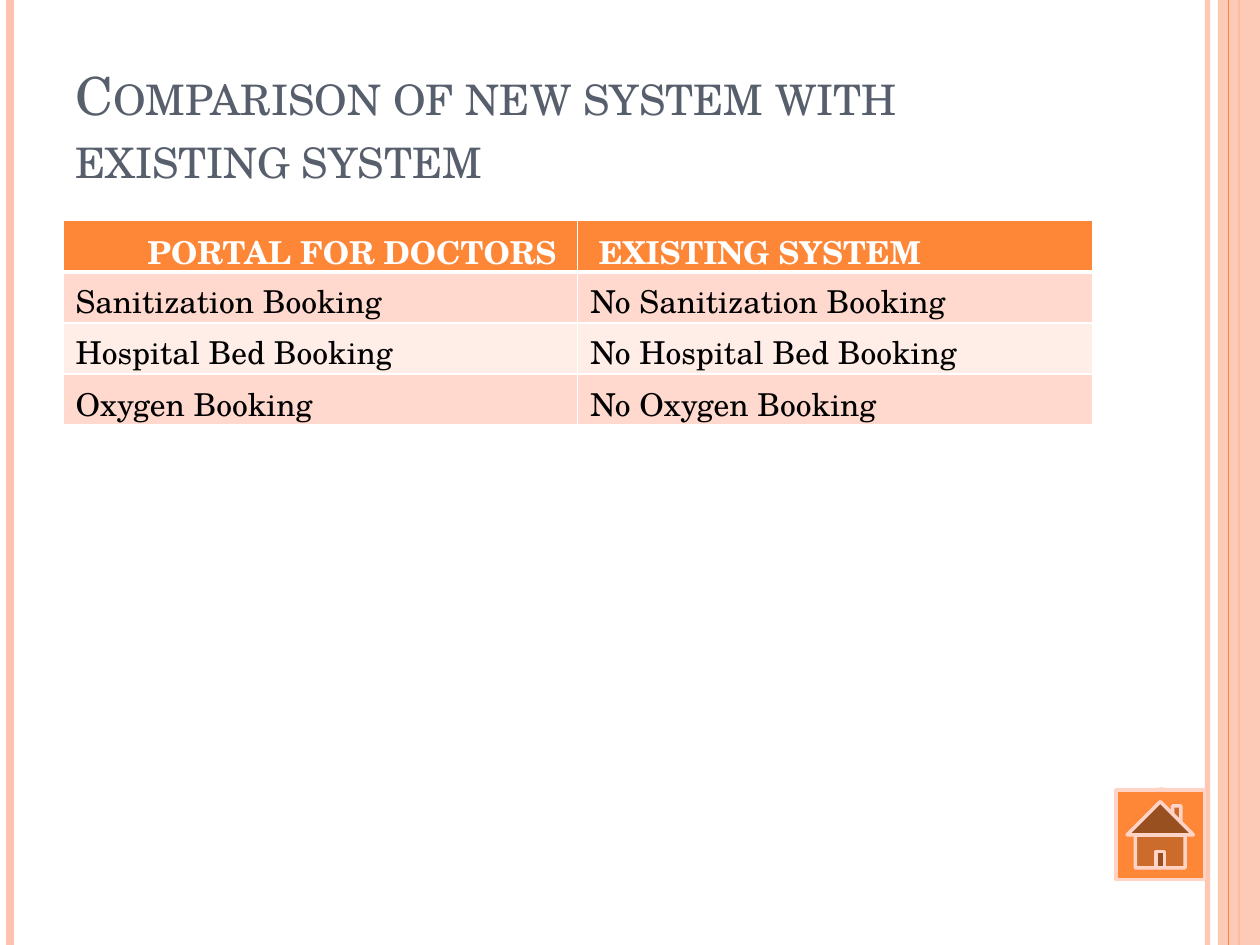
from lxml.etree import SubElement
from pptx import Presentation
from pptx.dml.color import RGBColor
from pptx.enum.shapes import MSO_CONNECTOR, MSO_SHAPE
from pptx.enum.text import MSO_ANCHOR
from pptx.oxml.ns import qn
from pptx.util import Cm, Pt

COLORS = {
    "orange": "FE8637",
    "peach": "FEC3AE",
    "button_edge": "FFD4C7",
    "band_dark": "FFD9CE",
    "band_light": "FFEDE8",
    "title": "575F6D",
    "white": "FFFFFF",
    "black": "000000",
}
FONT = "TeX Gyre Schola"
SLIDE_WIDTH, SLIDE_HEIGHT = 25.4, 19.05
ROWS = [
    ("PORTAL FOR DOCTORS", "EXISTING SYSTEM"),
    ("Sanitization Booking", "No Sanitization Booking"),
    ("Hospital Bed Booking", "No Hospital Bed Booking"),
    ("Oxygen Booking", "No Oxygen Booking"),
]
HEADER_MARGINS = (1.7, 0.43)


def rgb(name):
    """Return the named colour."""
    return RGBColor.from_string(COLORS[name])


def set_opacity(properties, percent):
    """Make the first solid colour under the properties translucent."""
    color = next(properties.iter(qn("a:srgbClr")))
    SubElement(color, qn("a:alpha"), val=str(percent * 1000))


def add_run(paragraph, text, size, color, bold=False):
    """Add one formatted run and return it."""
    run = paragraph.add_run()
    run.text = text
    run.font.name = FONT
    run.font.size = Pt(size)
    run.font.bold = bold
    run.font.color.rgb = rgb(color)
    return run


def add_filled_shape(slide, kind, box, color):
    """Add a flat preset shape without outline."""
    shape = slide.shapes.add_shape(kind, *(Cm(length) for length in box))
    shape.shadow.inherit = False
    shape.fill.solid()
    shape.fill.fore_color.rgb = rgb(color)
    shape.line.fill.background()
    return shape


def add_stripe(slide, x, top, height, color, width, opacity=100):
    """Add a vertical line down the slide."""
    stripe = slide.shapes.add_connector(
        MSO_CONNECTOR.STRAIGHT, Cm(x), Cm(top), Cm(x), Cm(top + height))
    stripe.line.color.rgb = rgb(color)
    stripe.line.width = Pt(width)
    properties = stripe._element.spPr
    if opacity < 100:
        set_opacity(properties, opacity)
    SubElement(properties, qn("a:effectLst"))


def add_frame(slide, left, top, width, height):
    """Draw the stripes and the band at the slide's edges."""
    right = left + width
    add_stripe(slide, right - 1.06, top, height, "peach", 3, 93)
    add_stripe(slide, left + 0.21, top, height, "peach", 4.5)
    add_stripe(slide, right - 0.42, top, height, "orange", 1.5)
    band = add_filled_shape(
        slide, MSO_SHAPE.RECTANGLE, (right - 0.85, top, 0.85, height), "peach")
    set_opacity(band._element.spPr, 87)
    add_stripe(slide, right - 0.64, top, height, "orange", 0.75)


def add_title(slide, left, top, width, height):
    """Place the title in small capitals at the bottom of its box."""
    shape = slide.shapes.add_textbox(Cm(left), Cm(top), Cm(width), Cm(height))
    frame = shape.text_frame
    frame.word_wrap = True
    frame.vertical_anchor = MSO_ANCHOR.BOTTOM
    run = add_run(frame.paragraphs[0],
                  "Comparison of new system with existing system", 30, "title")
    run.font._element.set("cap", "small")


def set_borders(cell, row):
    """Give a cell white borders, thicker below the header."""
    widths = {"L": 1, "R": 1, "T": 3 if row == 1 else 1, "B": 3 if row == 0 else 1}
    properties = cell._tc.get_or_add_tcPr()
    for side, width in widths.items():
        line = SubElement(properties, qn(f"a:ln{side}"), w=str(Pt(width)))
        fill = SubElement(line, qn("a:solidFill"))
        SubElement(fill, qn("a:srgbClr"), val=COLORS["white"])


def add_comparison(slide, left, top, width, height):
    """Place the table that compares both systems."""
    table = slide.shapes.add_table(
        len(ROWS), len(ROWS[0]), Cm(left), Cm(top), Cm(width), Cm(height)).table
    for row, texts in enumerate(ROWS):
        header = row == 0
        band = "band_dark" if row % 2 else "band_light"
        for column, text in enumerate(texts):
            cell = table.cell(row, column)
            set_borders(cell, row)
            cell.fill.solid()
            cell.fill.fore_color.rgb = rgb("orange" if header else band)
            if header:
                cell.margin_left = Cm(HEADER_MARGINS[column])
            add_run(cell.text_frame.paragraphs[0], text, 18,
                    "white" if header else "black", header)


def add_home_button(slide, left, top, width, height):
    """Place the home button over its round backing."""
    add_filled_shape(slide, MSO_SHAPE.OVAL,
                     (left + 0.15, top - 0.05, 1.52, 1.52), "orange")
    button = add_filled_shape(slide, MSO_SHAPE.ACTION_BUTTON_HOME,
                              (left, top, width, height), "orange")
    button.line.color.rgb = rgb("button_edge")
    button.line.width = Pt(2)


def main():
    """Build the slide and save it."""
    presentation = Presentation()
    presentation.slide_width = Cm(SLIDE_WIDTH)
    presentation.slide_height = Cm(SLIDE_HEIGHT)
    slide = presentation.slides.add_slide(presentation.slide_layouts[6])
    add_frame(slide, 0, 0, SLIDE_WIDTH, SLIDE_HEIGHT)
    add_title(slide, 1.27, 0.76, 20.75, 3.18)
    add_comparison(slide, 1.27, 4.45, 20.75, 4.12)
    add_home_button(slide, 22.5, 15.93, 1.78, 1.8)
    presentation.save("out.pptx")


if __name__ == "__main__":
    main()
